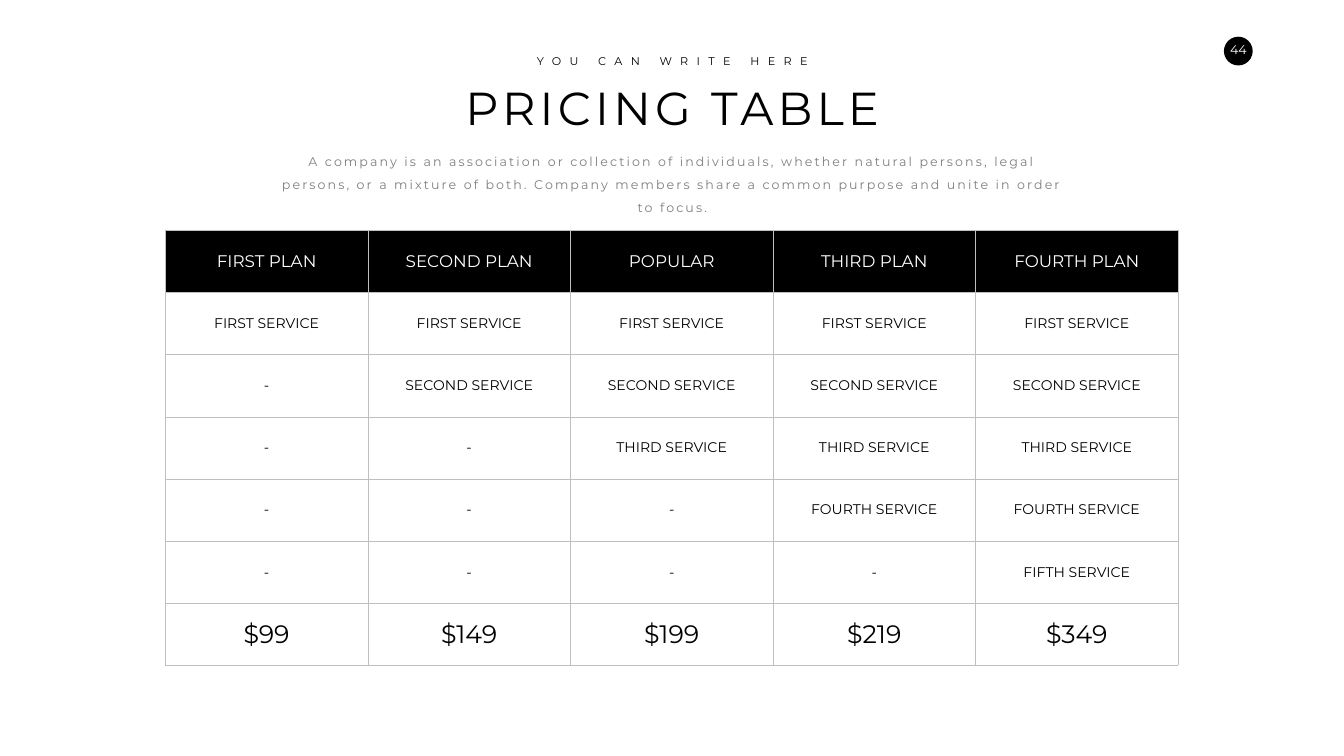
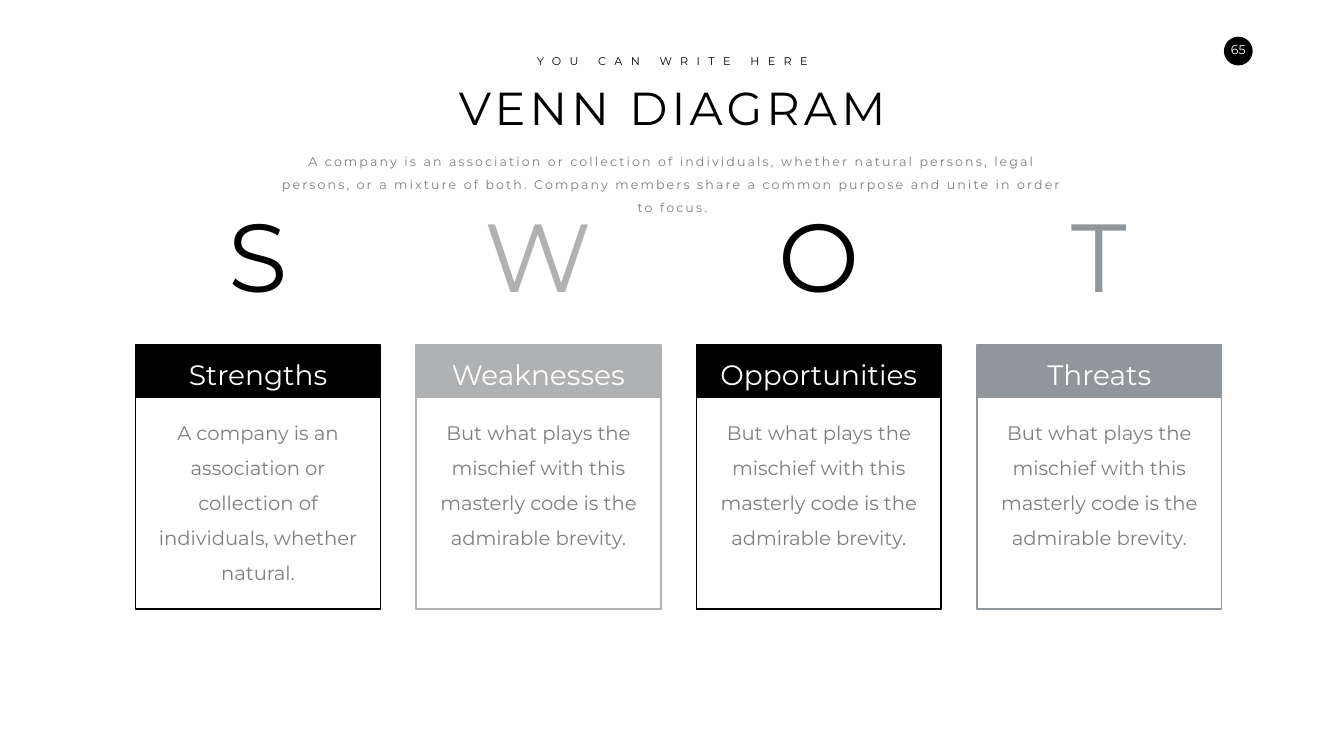
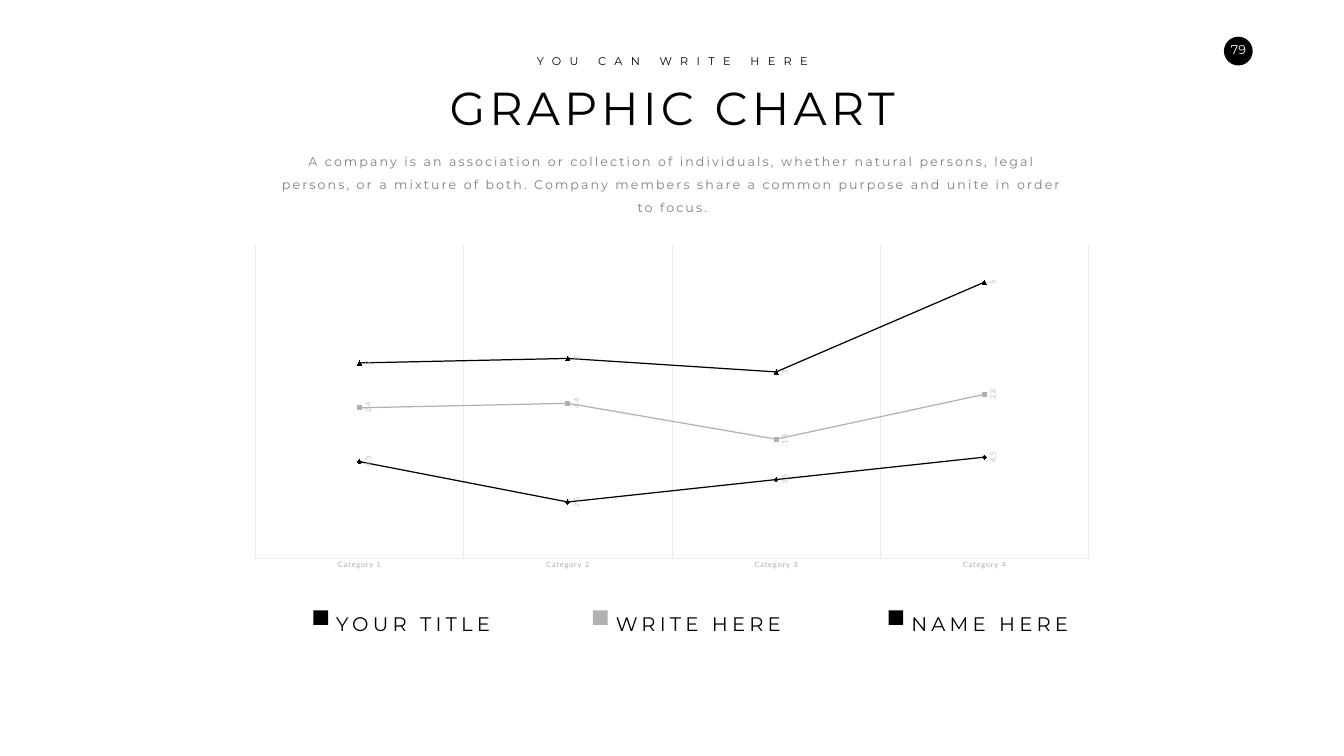
"""Build three slides: a pricing table, a SWOT board and a stacked line chart."""
import dataclasses

import lxml.etree
import pptx
import pptx.chart.data
import pptx.dml.color
import pptx.enum.chart
import pptx.enum.shapes
import pptx.enum.text
import pptx.oxml.ns
import pptx.util

Cm = pptx.util.Cm
Pt = pptx.util.Pt
qn = pptx.oxml.ns.qn
ALIGN = pptx.enum.text.PP_ALIGN
ANCHOR = pptx.enum.text.MSO_ANCHOR
SHAPE = pptx.enum.shapes.MSO_SHAPE
GROW = pptx.enum.text.MSO_AUTO_SIZE.SHAPE_TO_FIT_TEXT


@dataclasses.dataclass(frozen=True)
class Theme:
    black: str = "000000"
    white: str = "FFFFFF"
    silver: str = "B0B1B3"
    slate: str = "91969B"
    body: str = "7F7F7F"
    border: str = "BFBFBF"
    grid: str = "ECECEC"
    axis: str = "ACACAC"
    text_font: str = "Montserrat"
    chart_font: str = "Lato"
    title: float = 66
    kicker: float = 16
    intro: float = 18
    number: float = 18
    plan: float = 24
    service: float = 20
    price: float = 36
    letter: float = 138
    card_title: float = 40
    card_text: float = 28
    legend: float = 28
    chart_base: float = 10
    chart_label: float = 10.6


THEME = Theme()
SLIDE_SIZE = (67.72, 38.1)
CENTRE = 33.88

KICKER = "YOU CAN WRITE HERE"
INTRO = (
    "A company is an association or collection of individuals, whether natural persons, legal "
    "persons, or a mixture of both. Company members share a common purpose and unite in order "
    "to focus."
)

PLANS = [("FIRST PLAN", "$99"), ("SECOND PLAN", "$149"), ("POPULAR", "$199"),
         ("THIRD PLAN", "$219"), ("FOURTH PLAN", "$349")]
SERVICES = ["FIRST SERVICE", "SECOND SERVICE", "THIRD SERVICE", "FOURTH SERVICE", "FIFTH SERVICE"]

BREVITY = "But what plays the mischief with this masterly code is the admirable brevity."
SWOT = [
    ("Strengths", "A company is an association or collection of individuals, whether natural.",
     THEME.black),
    ("Weaknesses", BREVITY, THEME.silver),
    ("Opportunities", BREVITY, THEME.black),
    ("Threats", BREVITY, THEME.slate),
]

CATEGORIES = ["Category 1", "Category 2", "Category 3", "Category 4"]
SERIES = [
    ("Series 1", (4.3, 2.5, 3.5, 4.5), THEME.black, "DIAMOND"),
    ("Series 2", (2.4, 4.4, 1.8, 2.8), THEME.silver, "SQUARE"),
    ("Series 3", (2, 2, 3, 5), THEME.black, "TRIANGLE"),
]
LEGEND = [("YOUR TITLE", 16.69, THEME.black), ("WRITE HERE", 30.78, THEME.silver),
          ("NAME HERE", 45.67, THEME.black)]


def rgb(colour):
    return pptx.dml.color.RGBColor.from_string(colour)


def apply(target, values):
    for name, value in values.items():
        setattr(target, name, value)


def set_font(font, size, colour, family=THEME.text_font):
    apply(font, {"size": Pt(size), "name": family})
    font.color.rgb = rgb(colour)


def set_line(line, colour, width):
    line.color.rgb = rgb(colour)
    line.width = Pt(width)


def write(frame, text, size, colour, spacing=0, align=ALIGN.CENTER, leading=None,
          insets=(0.25, 0.13, 0.25, 0.13), **frame_format):
    sides = ("margin_left", "margin_top", "margin_right", "margin_bottom")
    apply(frame, {side: Cm(inset) for side, inset in zip(sides, insets)})
    apply(frame, {"word_wrap": True, **frame_format})
    paragraph = frame.paragraphs[0]
    apply(paragraph, {"alignment": align, "line_spacing": leading})
    run = paragraph.add_run()
    run.text = text
    set_font(run.font, size, colour)
    if spacing:
        run.font._element.set("spc", str(spacing * 100))


def add_text(slide, box, *content, **formats):
    frame = slide.shapes.add_textbox(*map(Cm, box)).text_frame
    write(frame, *content, **{"auto_size": GROW, **formats})


def add_block(slide, preset, box, fill=None, outline=None):
    block = slide.shapes.add_shape(preset, *map(Cm, box))
    block.shadow.inherit = False
    if fill:
        block.fill.solid()
        block.fill.fore_color.rgb = rgb(fill)
    else:
        block.fill.background()
    if outline:
        set_line(block.line, outline, 2.25)
    else:
        block.line.fill.background()
    return block


def add_badge(slide, number):
    add_block(slide, SHAPE.OVAL, (61.67, 1.85, 1.45, 1.45), THEME.black)
    add_text(slide, (61.31, 1.85, 2.18, 1.27), number, THEME.number, THEME.white,
             insets=(0.51, 0.25, 0.51, 0.25), word_wrap=False)


def add_heading(slide, title, width):
    rows = [
        (title, width, 3.86, 3.07, THEME.title, THEME.black, 6, {"word_wrap": False}),
        (KICKER, 14.68, 2.59, 0.94, THEME.kicker, THEME.black, 12, {"word_wrap": False}),
        (INTRO, 40.72, 7.26, 2.57, THEME.intro, THEME.body, 3, {"leading": 1.5}),
    ]
    for text, across, top, height, size, colour, spacing, formats in rows:
        add_text(slide, (CENTRE - across / 2, top, across, height),
                 text, size, colour, spacing, **formats)


def add_borders(cell):
    properties = cell._tc.get_or_add_tcPr()
    for side in ("lnL", "lnR", "lnT", "lnB"):
        edge = lxml.etree.SubElement(properties, qn(f"a:{side}"), w=str(Pt(0.75)))
        fill = lxml.etree.SubElement(edge, qn("a:solidFill"))
        lxml.etree.SubElement(fill, qn("a:srgbClr"), val=THEME.border)


def draw_pricing(slide):
    names, prices = zip(*PLANS)
    offers = [[service if plan >= level else "-" for plan in range(len(PLANS))]
              for level, service in enumerate(SERVICES)]
    rows = [(names, THEME.plan, THEME.white),
            *((offer, THEME.service, THEME.black) for offer in offers),
            (prices, THEME.price, THEME.black)]
    box = (8.33, 11.61, 51.03, 21.92)
    pricing = slide.shapes.add_table(len(rows), len(PLANS), *map(Cm, box)).table
    apply(pricing, {"first_row": False, "horz_banding": False})
    for r, (texts, size, colour) in enumerate(rows):
        for c, text in enumerate(texts):
            cell = pricing.cell(r, c)
            add_borders(cell)
            if r == 0:
                cell.fill.solid()
                cell.fill.fore_color.rgb = rgb(THEME.black)
            else:
                cell.fill.background()
            cell.vertical_anchor = ANCHOR.MIDDLE
            write(cell.text_frame, text, size, colour)


def draw_swot(slide):
    insets = (0.69, 0.33, 0.69, 0.33)
    for index, (name, detail, colour) in enumerate(SWOT):
        left, width = 6.83 + 14.13 * index, 12.34
        header = add_block(slide, SHAPE.RECTANGLE, (left, 17.4, width, 2.64), colour, colour)
        write(header.text_frame, name, THEME.card_title, THEME.white, leading=Pt(60.8),
              insets=insets, vertical_anchor=ANCHOR.BOTTOM, auto_size=GROW)
        card = add_block(slide, SHAPE.RECTANGLE, (left, 20.04, width, 10.64), outline=colour)
        write(card.text_frame, detail, THEME.card_text, THEME.body, leading=Pt(50),
              insets=(1.02, 0.58, 1.02, 0.33), vertical_anchor=ANCHOR.TOP)
        add_text(slide, (left, 13.97, width, 2.72), name[0], THEME.letter, colour,
                 leading=Pt(40.4), insets=insets)


def set_plot_layout(chart, **fractions):
    plot_area = chart._chartSpace.chart.plotArea
    for automatic in plot_area.findall(qn("c:layout")):
        plot_area.remove(automatic)
    layout = lxml.etree.Element(qn("c:layout"))
    manual = lxml.etree.SubElement(layout, qn("c:manualLayout"))
    settings = {"layoutTarget": "inner", "xMode": "edge", "yMode": "edge", **fractions}
    for name, value in settings.items():
        lxml.etree.SubElement(manual, qn(f"c:{name}"), val=str(value))
    plot_area.insert(0, layout)


def draw_chart(slide):
    data = pptx.chart.data.CategoryChartData()
    data.categories = CATEGORIES
    for name, values, *_ in SERIES:
        data.add_series(name, values)
    box = (11.99, 11.96, 43.74, 17.02)
    chart = slide.shapes.add_chart(
        pptx.enum.chart.XL_CHART_TYPE.LINE_MARKERS_STACKED, *map(Cm, box), data).chart
    apply(chart, {"has_legend": False, "has_title": False})
    set_font(chart.font, THEME.chart_base, THEME.body, THEME.chart_font)
    set_plot_layout(chart, x=0.02, y=0.02, w=0.96, h=0.93)
    chart.plots[0].vary_by_categories = False

    apply(chart.value_axis, {"visible": False, "has_major_gridlines": False,
                             "minimum_scale": 0, "maximum_scale": 14})
    axis = chart.category_axis
    no_tick = pptx.enum.chart.XL_TICK_MARK.NONE
    apply(axis, {"has_major_gridlines": True, "major_tick_mark": no_tick,
                 "minor_tick_mark": no_tick})
    for line in (axis.format.line, axis.major_gridlines.format.line):
        set_line(line, THEME.grid, 0.75)
    set_font(axis.tick_labels.font, THEME.chart_label, THEME.axis, THEME.chart_font)
    for letters in axis._element.iter(qn("a:defRPr")):
        letters.set("spc", "120")

    for series, (_, _, colour, symbol) in zip(chart.plots[0].series, SERIES):
        series.smooth = False
        set_line(series.format.line, colour, 1.75)
        marker = series.marker
        apply(marker, {"style": pptx.enum.chart.XL_MARKER_STYLE[symbol], "size": 6})
        marker.format.fill.solid()
        marker.format.fill.fore_color.rgb = rgb(colour)
        marker.format.line.color.rgb = rgb(colour)
        labels = series.data_labels
        apply(labels, {"show_value": True,
                       "position": pptx.enum.chart.XL_LABEL_POSITION.RIGHT})
        set_font(labels.font, THEME.chart_label, THEME.border, THEME.chart_font)
        for frame in labels._element.iter(qn("a:bodyPr")):
            apply_turn = {"rot": "-5400000", "vert": "horz"}
            frame.attrib.update(apply_turn)

    for name, left, colour in LEGEND:
        add_text(slide, (left, 30.1, 10.59, 2.06), name, THEME.legend, THEME.black, 6,
                 align=ALIGN.LEFT, leading=1.5)
        add_block(slide, SHAPE.RECTANGLE, (left - 0.9, 30.76, 0.74, 0.74), colour)


SLIDES = [
    ("44", "PRICING TABLE", 21.41, draw_pricing),
    ("65", "VENN DIAGRAM", 22.2, draw_swot),
    ("79", "GRAPHIC CHART", 23.19, draw_chart),
]


def main():
    deck = pptx.Presentation()
    deck.slide_width, deck.slide_height = map(Cm, SLIDE_SIZE)
    for number, title, title_width, draw_content in SLIDES:
        slide = deck.slides.add_slide(deck.slide_layouts[6])
        add_badge(slide, number)
        draw_content(slide)
        add_heading(slide, title, title_width)
    deck.save("out.pptx")


if __name__ == "__main__":
    main()
